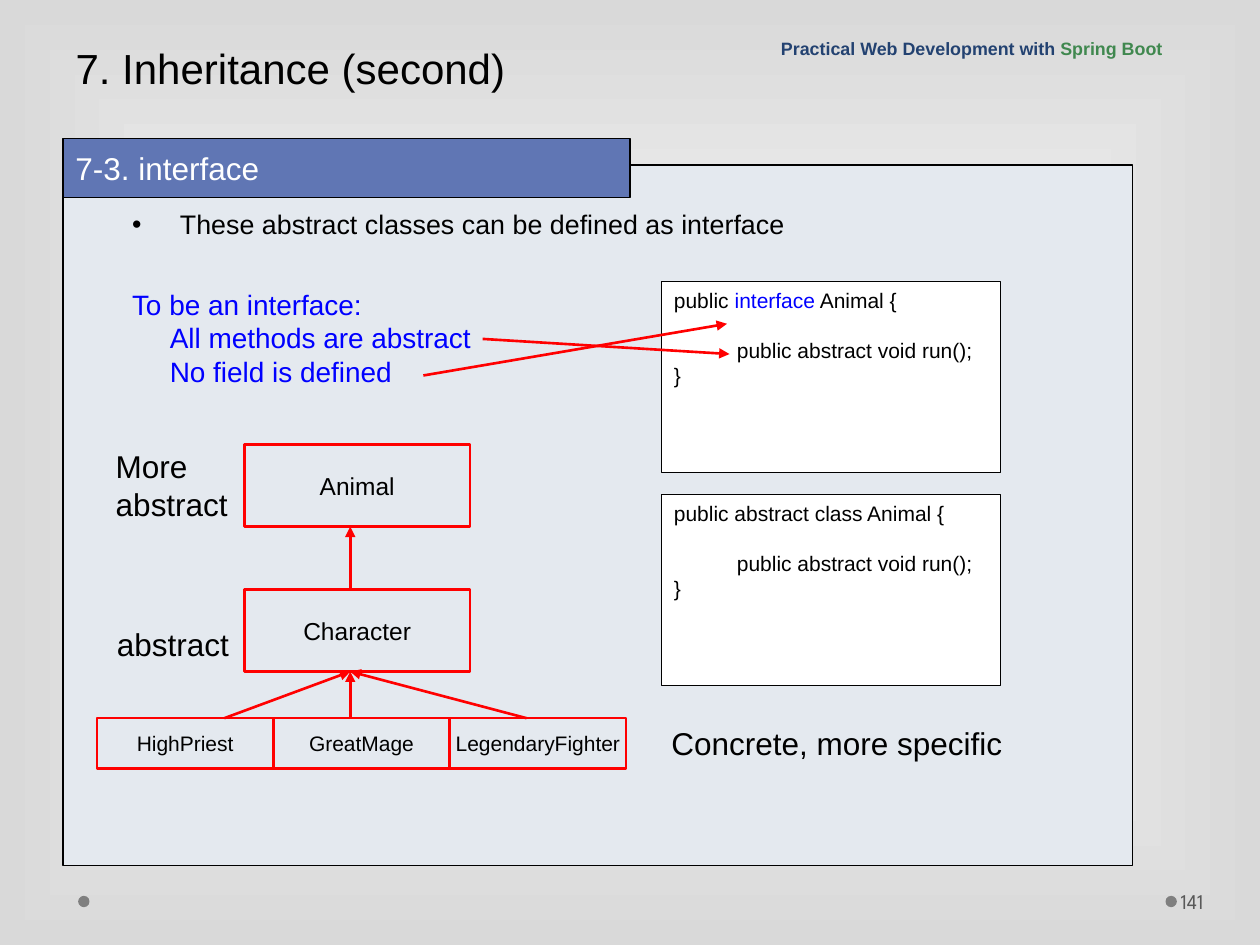
from lxml import etree
from pptx import Presentation, util as u
from pptx.dml.color import RGBColor
from pptx.enum import shapes, text
from pptx.oxml import parse_xml
from pptx.oxml.ns import nsdecls, qn

COLORS = {"black": "000000", "white": "FFFFFF", "edge": "D9D9D9", "dot": "7F7F7F",
          "number": "595959", "panel": "E4E9EF", "band": "6076B4", "red": "FF0000",
          "blue": "0000FF", "navy": "234271", "green": "40884F"}
FONT = "Arial"

# Content: a paragraph is a string or a list of (text, colour) runs
TITLE = "7. Inheritance (second)"
SECTION = "7-3. interface"
HEADER = [("Practical Web Development with ", "navy"), ("Spring Boot", "green")]
BULLET = "These abstract classes can be defined as interface"
RULES = ["To be an interface:", "All methods are abstract", "No field is defined"]
BODY = ["\t", "\tpublic abstract void run();", "}"]
CODE = [
    [[("public ", "black"), ("interface", "blue"), (" Animal {", "black")]] + BODY,
    ["public abstract class Animal {"] + BODY,
]
PARENTS = ["Animal", "Character"]
LEAVES = ["HighPriest", "GreatMage", "LegendaryFighter"]
LABELS = [  # lines, left, top, width, height
    (["More", "abstract"], 0.82, 3.5, 1.09, 0.7),
    (["abstract"], 0.83, 4.91, 1.09, 0.4),
    (["Concrete, more specific"], 5.23, 5.7, 3.39, 0.4),
]

# Grid: class tree and code column
PARENT_X, PARENT_Y, PARENT_W, PARENT_H, PARENT_STEP = 1.94, 3.53, 1.79, 0.65, 1.15
LEAF_X, LEAF_Y, LEAF_W, LEAF_H = 0.77, 5.7, 1.4, 0.4
CODE_X, CODE_Y, CODE_W, CODE_H, CODE_STEP = 5.25, 2.23, 2.69, 1.52, 1.69
TREE_X = 2.78
ANIMAL_BOTTOM = PARENT_Y + PARENT_H
CHARACTER_TOP = PARENT_Y + PARENT_STEP
CHARACTER_BOTTOM = CHARACTER_TOP + PARENT_H
TREE_ARROWS = [((x, LEAF_Y), (TREE_X, CHARACTER_BOTTOM)) for x in (1.78, TREE_X, 4.18)]
TREE_ARROWS.append(((TREE_X, CHARACTER_TOP), (TREE_X, ANIMAL_BOTTOM)))
RULE_ARROWS = [((3.36, 2.98), (5.77, 2.57)), ((3.83, 2.69), (5.79, 2.81))]

TOP, MIDDLE, BOTTOM = (text.MSO_ANCHOR.TOP, text.MSO_ANCHOR.MIDDLE, text.MSO_ANCHOR.BOTTOM)


def rgb(name):
    return RGBColor.from_string(COLORS[name])


def write(sp, paragraphs, size=18, color="black", font=FONT, bold=False, anchor=TOP,
          align=text.PP_ALIGN.LEFT, wrap=True, spacing=None, bullet=False, tab=None,
          indents=()):
    tf = sp.text_frame
    tf.word_wrap, tf.vertical_anchor = wrap, anchor
    tf.auto_size = text.MSO_AUTO_SIZE.NONE
    for i, content in enumerate(paragraphs):
        p = tf.paragraphs[0] if i == 0 else tf.add_paragraph()
        p.alignment = align
        pPr = p._p.get_or_add_pPr()
        if spacing:
            p.line_spacing = spacing
        if indents:
            pPr.set("marL", str(u.Inches(indents[i])))
        if bullet:
            pPr.set("marL", str(u.Inches(0.38)))
            pPr.set("indent", str(-u.Inches(0.38)))
            etree.SubElement(pPr, qn("a:buFont")).set("typeface", FONT)
            etree.SubElement(pPr, qn("a:buChar")).set("char", "•")
        if tab:
            stop = etree.SubElement(etree.SubElement(pPr, qn("a:tabLst")), qn("a:tab"))
            stop.set("pos", str(u.Inches(tab)))
            stop.set("algn", "l")
        runs = [(content, color)] if isinstance(content, str) else content
        for words, run_color in runs:
            r = p.add_run()
            r.text = words
            r.font.name, r.font.size, r.font.bold = font, u.Pt(size), bold
            r.font.color.rgb = rgb(run_color)


def add_box(s, x, y, w, h, fill=None, line=None, width=0.75,
            kind=shapes.MSO_SHAPE.RECTANGLE):
    sp = s.shapes.add_shape(kind, *map(u.Inches, (x, y, w, h)))
    sp.shadow.inherit = False
    if fill:
        sp.fill.solid()
        sp.fill.fore_color.rgb = rgb(fill)
    else:
        sp.fill.background()
    if line:
        sp.line.color.rgb = rgb(line)
        sp.line.width = u.Pt(width)
    else:
        sp.line.fill.background()
    return sp


def add_label(s, paragraphs, x, y, w, h, **style):
    sp = s.shapes.add_textbox(*map(u.Inches, (x, y, w, h)))
    write(sp, paragraphs, **style)
    return sp


def add_arrow(s, start, end):
    c = s.shapes.add_connector(shapes.MSO_CONNECTOR.STRAIGHT,
                               *map(u.Inches, start + end))
    c.line.color.rgb = rgb("red")
    c.line.width = u.Pt(1.5)
    etree.SubElement(c.line._get_or_add_ln(), qn("a:tailEnd")).set("type", "triangle")
    etree.SubElement(c._element.spPr, qn("a:effectLst"))


def set_background(s):
    fill = s.background.fill
    fill.gradient()
    for stop, name in zip(fill.gradient_stops, ("white", "edge")):
        stop.color.rgb = rgb(name)
    grad = s._element.find(".//" + qn("a:gradFill"))
    grad.replace(grad.find(qn("a:lin")), parse_xml(
        f'<a:path {nsdecls("a")} path="rect">'
        '<a:fillToRect l="50000" t="50000" r="50000" b="50000"/></a:path>'))


def main():
    prs = Presentation()
    prs.slide_width, prs.slide_height = u.Inches(10), u.Inches(7.5)
    s = prs.slides.add_slide(prs.slide_layouts[5])
    set_background(s)

    # Footer dots and page number
    for x in (9.25, 0.62):
        add_box(s, x, 7.11, 0.09, 0.09, fill="dot", kind=shapes.MSO_SHAPE.OVAL)
    number = add_label(s, ["141"], 9.34, 6.95, 0.61, 0.4, size=12, color="number",
                       font="League Spartan", anchor=MIDDLE)
    number.text_frame.margin_left = u.Inches(0.03)

    # Panel, title, section band and header
    add_box(s, 0.5, 1.31, 8.49, 5.56, fill="panel", line="black")
    title = s.shapes.title
    title.left, title.top, title.width, title.height = map(u.Inches, (0.5, 0, 9.5, 0.79))
    write(title, [TITLE], size=24, anchor=BOTTOM)
    band = add_box(s, 0.5, 1.1, 4.5, 0.47, fill="band", line="black")
    write(band, [SECTION], color="white", anchor=MIDDLE)
    add_label(s, [HEADER], 6.1, 0.24, 3.9, 0.28, size=10.2, bold=True, anchor=BOTTOM,
              spacing=0.9)

    # Statement and rules
    add_label(s, [BULLET], 0.95, 1.63, 7.66, 0.38, size=15.3, spacing=0.9, bullet=True)
    add_label(s, RULES, 0.95, 2.23, 4.04, 0.9, size=16, color="blue",
              indents=(0, 0.3, 0.3))

    # Class tree
    nodes = [(name, 14, PARENT_X, PARENT_Y + i * PARENT_STEP, PARENT_W, PARENT_H)
             for i, name in enumerate(PARENTS)]
    nodes += [(name, 12, LEAF_X + i * LEAF_W, LEAF_Y, LEAF_W, LEAF_H)
              for i, name in enumerate(LEAVES)]
    for name, size, *place in nodes:
        node = add_box(s, *place, line="red", width=1.5)
        write(node, [name], size=size, anchor=MIDDLE, align=text.PP_ALIGN.CENTER,
              wrap=False)
    for lines, *place in LABELS:
        add_label(s, lines, *place)

    # Code boxes
    for i, code in enumerate(CODE):
        box = add_box(s, CODE_X, CODE_Y + i * CODE_STEP, CODE_W, CODE_H,
                      fill="white", line="black", width=0.25)
        write(box, code, size=12, tab=0.5)

    # Arrows
    for start, end in TREE_ARROWS + RULE_ARROWS:
        add_arrow(s, start, end)

    prs.save("out.pptx")


if __name__ == "__main__":
    main()
